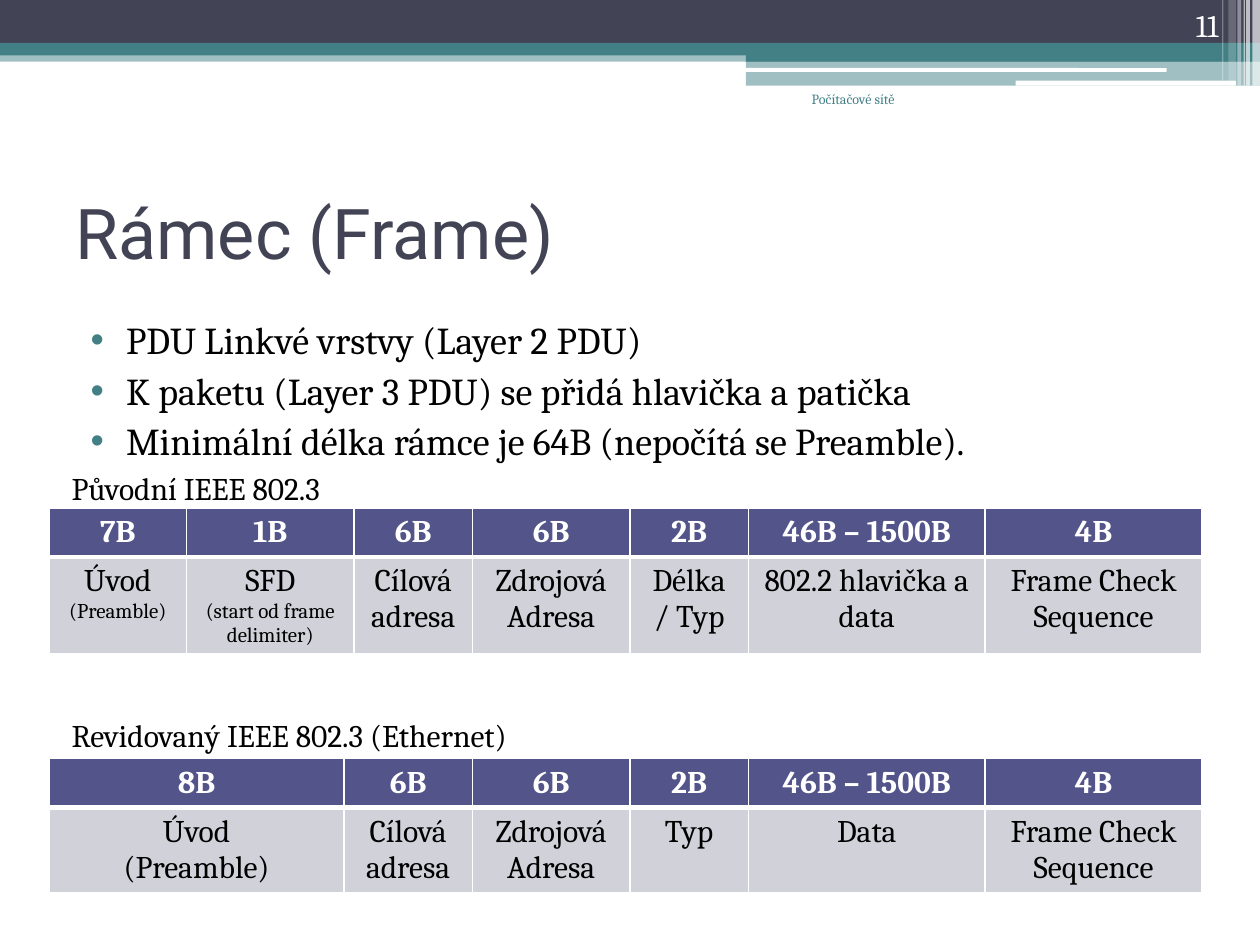
from dataclasses import dataclass

import pptx
import pptx.dml.color
import pptx.enum.shapes
import pptx.enum.text
import pptx.oxml.ns
import pptx.util
from lxml import etree

Inches = pptx.util.Inches
Align = pptx.enum.text.PP_ALIGN
Anchor = pptx.enum.text.MSO_ANCHOR
Shape = pptx.enum.shapes.MSO_SHAPE
qn = pptx.oxml.ns.qn


@dataclass(frozen=True)
class Theme:
    dark: str = "424456"
    teal: str = "438086"
    white: str = "FFFFFF"
    black: str = "000000"
    header: str = "53548A"
    cell: str = "D1D1DA"
    heading_font: str = "Roboto"
    body_font: str = "Cambria"
    title_size: float = 40
    bullet_size: float = 21.7
    text_size: float = 18
    small_size: float = 12
    footer_size: float = 8


theme = Theme()
rgb = pptx.dml.color.RGBColor.from_string


def write(frame, text, size=theme.text_size, color=theme.black, font=theme.body_font,
          bold=False, align=Align.LEFT, anchor=Anchor.TOP, wrap=True, later_size=None):
    """Write one paragraph per line; later_size applies after the first line."""
    frame.word_wrap = wrap
    frame.auto_size = pptx.enum.text.MSO_AUTO_SIZE.NONE
    frame.vertical_anchor = anchor
    for index, line in enumerate(text.split("\n")):
        paragraph = frame.add_paragraph() if index else frame.paragraphs[0]
        paragraph.alignment = align
        run = paragraph.add_run()
        run.text = line
        run.font.size = pptx.util.Pt(later_size if index and later_size else size)
        run.font.name = font
        run.font.bold = bold
        run.font.color.rgb = rgb(color)


presentation = pptx.Presentation()
presentation.slide_width = Inches(10)
presentation.slide_height = Inches(7.5)
slide = presentation.slides.add_slide(presentation.slide_layouts[1])
title, body = slide.placeholders

# Header bands: left, top, width, height, colour, opacity in percent, shape
bands = [
    (0, 0.4, 10, 0.09, theme.teal, 50, Shape.RECTANGLE),
    (0, 0, 10, 0.34, theme.dark, 100, Shape.RECTANGLE),
    (0, 0.34, 10, 0.1, theme.teal, 100, Shape.RECTANGLE),
    (5.92, 0.39, 4.08, 0.1, theme.teal, 100, Shape.RECTANGLE),
    (5.92, 0.48, 4.08, 0.2, theme.teal, 50, Shape.RECTANGLE),
    (5.91, 0.54, 3.35, 0.03, theme.white, 100, Shape.ROUNDED_RECTANGLE),
    (8.06, 0.64, 1.75, 0.04, theme.white, 100, Shape.ROUNDED_RECTANGLE),
]
# Light stripes at the right edge: left, width, height, opacity
stripes = [(9.94, 0.06, 0.68, 65), (9.89, 0.03, 0.68, 65), (9.87, 0.01, 0.68, 60),
           (9.82, 0.03, 0.68, 40), (9.75, 0.06, 0.64, 20), (9.7, 0.01, 0.64, 30)]
bands += [(left, 0, width, height, theme.white, opacity, Shape.RECTANGLE)
          for left, width, height, opacity in stripes]

for left, top, width, height, color, opacity, kind in bands:
    band = slide.shapes.add_shape(kind, Inches(left), Inches(top), Inches(width), Inches(height))
    band.shadow.inherit = False
    band.line.fill.background()
    band.fill.solid()
    band.fill.fore_color.rgb = rgb(color)
    if opacity < 100:
        color_node = band.fill._xPr.find(".//" + qn("a:srgbClr"))
        etree.SubElement(color_node, qn("a:alpha"), val=str(opacity * 1000))

# Title
title.left, title.top, title.width, title.height = map(Inches, (0.5, 1.25, 9, 1.17))
write(title.text_frame, "Rámec (Frame)", size=theme.title_size, color=theme.dark,
      font=theme.heading_font, anchor=Anchor.MIDDLE)

# Bullet list
body.left, body.top, body.width, body.height = map(Inches, (0.5, 2.46, 9, 1.13))
write(body.text_frame,
      "PDU Linkvé vrstvy (Layer 2 PDU)\n"
      "K paketu (Layer 3 PDU) se přidá hlavička a patička\n"
      "Minimální délka rámce je 64B (nepočítá se Preamble).",
      size=theme.bullet_size)
for paragraph in body.text_frame.paragraphs:
    paragraph.space_before = pptx.util.Pt(3)
    properties = paragraph._p.get_or_add_pPr()
    properties.set("marL", str(Inches(0.4)))
    properties.set("indent", str(Inches(-0.28)))
    bullet_color = etree.SubElement(properties, qn("a:buClr"))
    etree.SubElement(bullet_color, qn("a:srgbClr"), val=theme.teal)
    etree.SubElement(properties, qn("a:buFont"), typeface="Arial")
    etree.SubElement(properties, qn("a:buChar"), char="•")

# Course name, slide number and table captions
labels = [
    ((5.75, 0.67, 1.45, 0.5), "Počítačové sítě",
     dict(size=theme.footer_size, color=theme.teal, align=Align.RIGHT)),
    ((8.94, 0, 0.83, 0.4), "11",
     dict(color=theme.white, align=Align.RIGHT, anchor=Anchor.BOTTOM)),
    ((0.47, 3.67, 2.5, 0.4), "Původní IEEE 802.3", dict(wrap=False)),
    ((0.47, 5.63, 4.11, 0.4), "Revidovaný IEEE 802.3 (Ethernet)", dict(wrap=False)),
]
for box, text, text_format in labels:
    label = slide.shapes.add_textbox(*map(Inches, box))
    write(label.text_frame, text, **text_format)

# Frame formats: each field is width, length, description
shared_end = (1.72, "4B", "Frame Check Sequence")
source_address = (1.25, "6B", "Zdrojová\nAdresa")
original_fields = [
    (1.09, "7B", "Úvod\n(Preamble)"),
    (1.33, "1B", "SFD\n(start od frame delimiter)"),
    (0.94, "6B", "Cílová adresa"),
    source_address,
    (0.94, "2B", "Délka / Typ"),
    (1.88, "46B – 1500B", "802.2 hlavička a data"),
    shared_end,
]
revised_fields = [
    (2.34, "8B", "Úvod\n(Preamble)"),
    (1.02, "6B", "Cílová adresa"),
    source_address,
    (0.94, "2B", "Typ"),
    (1.88, "46B – 1500B", "Data"),
    shared_end,
]
header_height = 0.39
tables = [(4.03, 0.77, original_fields), (6.02, 0.67, revised_fields)]

for top, body_height, fields in tables:
    table = slide.shapes.add_table(2, len(fields), Inches(0.39), Inches(top), Inches(9.14),
                                   Inches(header_height + body_height)).table
    table.rows[0].height = Inches(header_height)
    table.rows[1].height = Inches(body_height)
    for column, (width, *texts) in enumerate(fields):
        table.columns[column].width = Inches(width)
        for row, text in enumerate(texts):
            cell = table.cell(row, column)
            is_header = row == 0
            # The rule between header and body is thicker than the others
            thick_side = "a:lnB" if is_header else "a:lnT"
            cell_properties = cell._tc.get_or_add_tcPr()
            for side in ("a:lnL", "a:lnR", "a:lnT", "a:lnB"):
                points = 3 if side == thick_side else 1
                border = etree.SubElement(cell_properties, qn(side), w=str(pptx.util.Pt(points)))
                border_fill = etree.SubElement(border, qn("a:solidFill"))
                etree.SubElement(border_fill, qn("a:srgbClr"), val=theme.white)
            cell.fill.solid()
            cell.fill.fore_color.rgb = rgb(theme.header if is_header else theme.cell)
            has_small_note = fields is original_fields and "(" in text
            write(cell.text_frame, text, align=Align.CENTER, bold=is_header,
                  color=theme.white if is_header else theme.black,
                  later_size=theme.small_size if has_small_note else None)

presentation.save("out.pptx")
